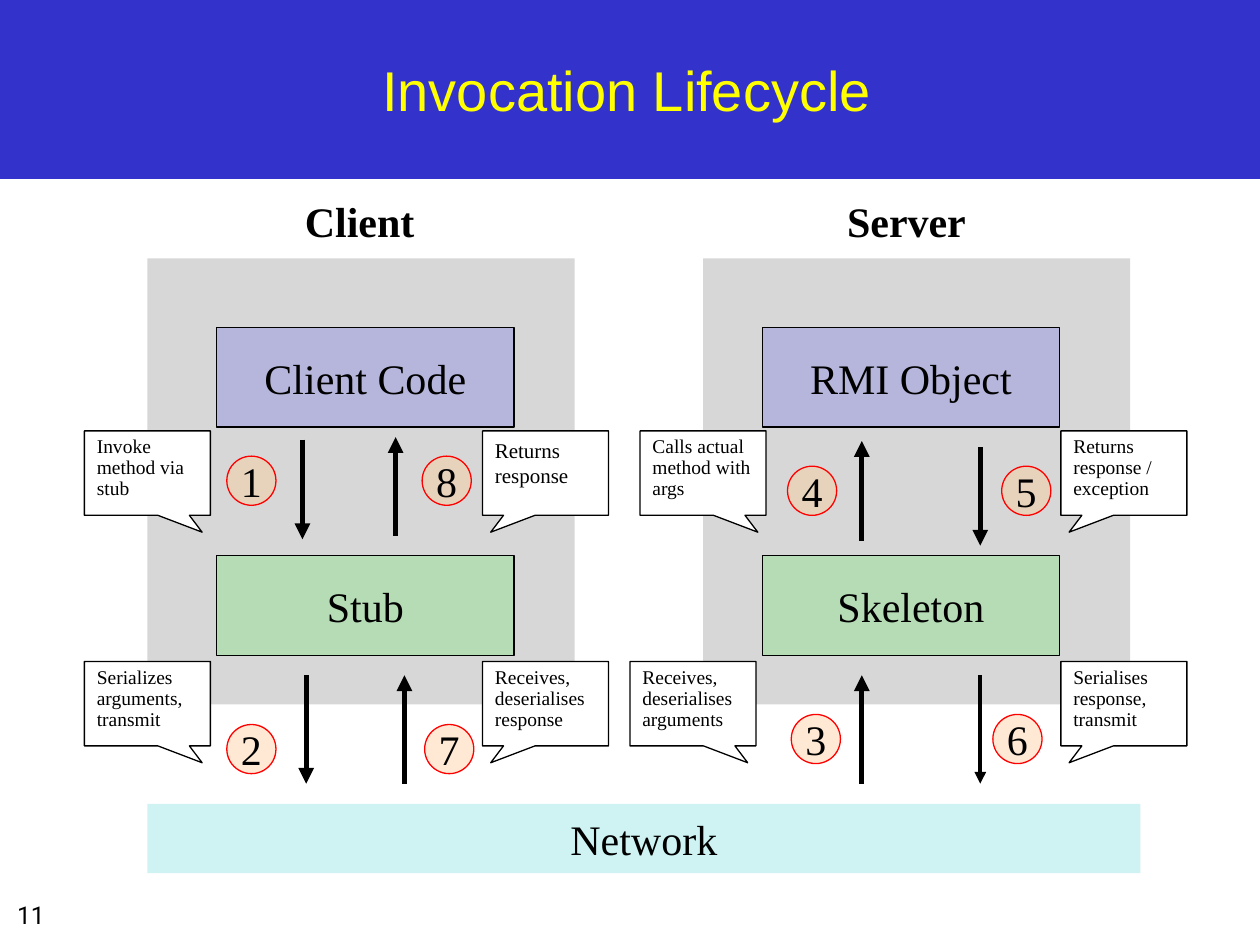
import pptx
import pptx.dml.color
import pptx.enum.shapes
import pptx.enum.text
import pptx.oxml
import pptx.oxml.ns
import pptx.util

Inches, Pt = pptx.util.Inches, pptx.util.Pt
RGB = pptx.dml.color.RGBColor.from_string
SHAPE = pptx.enum.shapes.MSO_SHAPE
ALIGN = pptx.enum.text.PP_ALIGN
ANCHOR = pptx.enum.text.MSO_ANCHOR
qn = pptx.oxml.ns.qn
DRAWING = pptx.oxml.ns.nsdecls("a")

COLORS = {
    "banner": "3333CC", "title": "FFFF00", "black": "000000", "white": "FFFFFF",
    "machine": "808080", "code": "0000FF", "proxy": "00FF00",
    "network": "33CCCC", "badge": "FFCC99", "badge_edge": "FF0000",
}
SERIF = "Times New Roman"

deck = pptx.Presentation()
deck.slide_width, deck.slide_height = Inches(10), Inches(7.5)
page = deck.slides.add_slide(deck.slide_layouts[6])


def add_box(kind, left, top, width, height, fill, alpha=100, edge=None):
    """Add a preset shape; alpha is the opacity of its fill in percent."""
    box = page.shapes.add_shape(kind, Inches(left), Inches(top), Inches(width), Inches(height))
    box.shadow.inherit = False
    box.fill.solid()
    box.fill.fore_color.rgb = RGB(COLORS[fill])
    if alpha < 100:
        color = box.fill._xPr.find(qn("a:solidFill"))[0]
        color.append(pptx.oxml.parse_xml(f'<a:alpha {DRAWING} val="{alpha * 1000}"/>'))
    if edge:
        box.line.color.rgb = RGB(COLORS[edge])
        box.line.width = Pt(0.75)
    else:
        box.line.fill.background()
    return box


def write(box, text, size=24, font=SERIF, color="black", bold=False,
          align=ALIGN.CENTER, anchor=ANCHOR.MIDDLE, wrap=False):
    frame = box.text_frame
    frame.text = text
    frame.word_wrap = wrap
    frame.vertical_anchor = anchor
    para = frame.paragraphs[0]
    para.alignment = align
    para.font.size = Pt(size)
    para.font.name = font
    para.font.bold = bold
    para.font.color.rgb = RGB(COLORS[color])
    return para


# Title banner and slide number
add_box(SHAPE.RECTANGLE, 0, 0, 10, 1.42, "banner")
title = page.shapes.add_textbox(Inches(0.17), Inches(0.17), Inches(9.61), Inches(1.08))
write(title, "Invocation Lifecycle", 32, "Arial", "title", wrap=True)
number = page.shapes.add_textbox(Inches(-0.33), Inches(7.09), Inches(1.15), Inches(0.37))
write(number, "11", 14, "Roboto", anchor=ANCHOR.TOP)

# Client and server machines: name, heading left, panel left, layer left, layers
machines = [
    ("Client", 1.24, 1.17, 1.72, "Client Code", "Stub"),
    ("Server", 5.58, 5.58, 6.05, "RMI Object", "Skeleton"),
]
for name, heading_left, panel_left, layer_left, code, proxy in machines:
    add_box(SHAPE.RECTANGLE, panel_left, 2.05, 3.39, 3.54, "machine", 31)
    heading = page.shapes.add_textbox(Inches(heading_left), Inches(1.5), Inches(3.23), Inches(0.5))
    write(heading, name, bold=True, anchor=ANCHOR.TOP, wrap=True)
    for text, top, fill in [(code, 2.6, "code"), (proxy, 4.41, "proxy")]:
        write(add_box(SHAPE.RECTANGLE, layer_left, top, 2.36, 0.79, fill, 15, "black"), text)
write(add_box(SHAPE.RECTANGLE, 1.17, 6.38, 7.88, 0.55, "network", 23), "Network")

# Call arrows: x, start y, end y, line width
arrows = [
    (2.4, 3.49, 4.28, 3), (2.43, 5.36, 6.22, 3),
    (6.84, 6.22, 5.36, 3), (6.84, 4.29, 3.5, 3),
    (7.78, 3.55, 4.33, 3), (7.78, 5.36, 6.22, 2.25),
    (3.21, 6.22, 5.36, 3), (3.14, 4.25, 3.47, 3),
]
for x, start, end, width in arrows:
    arrow = page.shapes.add_connector(
        pptx.enum.shapes.MSO_CONNECTOR.STRAIGHT, Inches(x), Inches(start), Inches(x), Inches(end))
    arrow.line.color.rgb = RGB(COLORS["black"])
    arrow.line.width = Pt(width)
    arrow.line._get_or_add_ln().append(
        pptx.oxml.parse_xml(f'<a:tailEnd {DRAWING} type="triangle"/>'))
    arrow._element.spPr.append(pptx.oxml.parse_xml(f"<a:effectLst {DRAWING}/>"))

# Step badges, numbered in calling order
badges = [(1.8, 3.62), (1.8, 5.75), (6.28, 5.67), (6.25, 3.7),
          (7.95, 3.7), (7.88, 5.67), (3.37, 5.75), (3.35, 3.62)]
for step, (left, top) in enumerate(badges, start=1):
    badge = add_box(SHAPE.OVAL, left, top, 0.39, 0.39, "badge", 42, "badge_edge")
    write(badge, str(step))

# Callouts: left, top, side the tail points to, text size, line spacing, text
LEFT, RIGHT = -0.435, 0.435
callouts = [
    (0.67, 3.42, RIGHT, 11.1, 0.9, "Invoke method via stub"),
    (0.67, 5.25, RIGHT, 11.1, 0.9, "Serializes arguments, transmit"),
    (5.08, 3.42, RIGHT, 11.1, 0.9, "Calls actual method with args"),
    (5, 5.25, RIGHT, 11.1, 0.9, "Receives, deserialises arguments"),
    (8.42, 3.42, LEFT, 11.1, 0.9, "Returns response / exception"),
    (8.42, 5.25, LEFT, 11.1, 0.9, "Serialises response, transmit"),
    (3.83, 3.42, LEFT, 12, 1.0, "Returns response"),
    (3.83, 5.25, LEFT, 11.1, 0.9, "Receives, deserialises response"),
]
for left, top, tail, size, spacing, text in callouts:
    callout = add_box(SHAPE.RECTANGULAR_CALLOUT, left, top, 1, 0.67, "white", edge="black")
    callout.adjustments[0] = tail
    callout.adjustments[1] = 0.7
    para = write(callout, text, size, align=ALIGN.LEFT, anchor=ANCHOR.TOP, wrap=True)
    para.line_spacing = spacing

deck.save("out.pptx")
